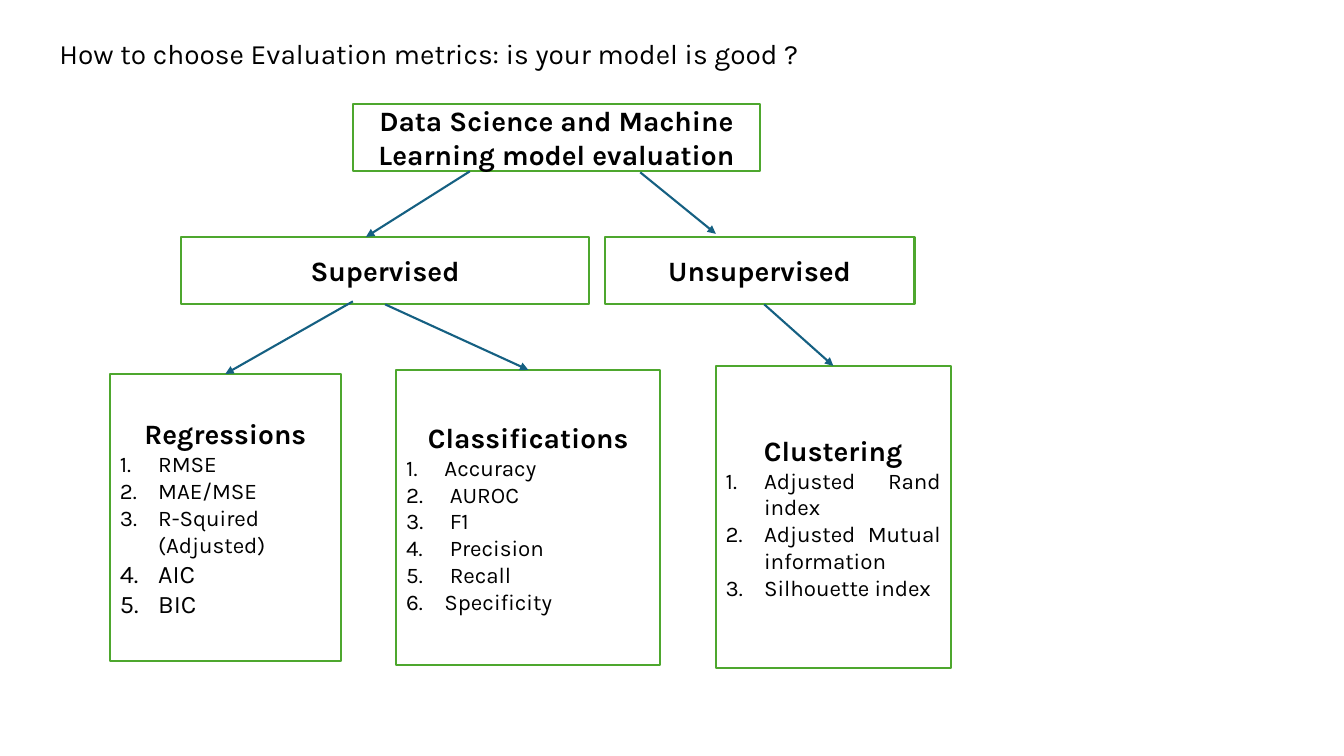
from pptx import Presentation, util as u
from pptx.dml.color import RGBColor
from pptx.enum import shapes, text
from pptx.oxml.ns import qn
from lxml import etree

PX = 9144
FONT = "Karla"
COLOURS = {"ink": "000000", "paper": "FFFFFF", "border": "4EA72E", "arrow": "156082"}
INDENT = 38
LINE_WIDTH = u.Pt(1.5)

TITLE = "How to choose Evaluation metrics: is your model is good ?"
BOXES = {
    "Supervised": ((180, 235, 404, 67), []),
    "Clustering": ((710, 363, 233, 300), [
        ("Adjusted Rand index", 16), ("Adjusted Mutual information", 16),
        ("Silhouette index", 16)]),
    "Classifications": ((393, 367, 262, 293), [
        ("Accuracy", 16), (" AUROC", 16), (" F1", 16), (" Precision", 16),
        (" Recall", 16), ("Specificity", 16)]),
    "Regressions": ((109, 371, 229, 285), [
        ("RMSE", 16), ("MAE/MSE", 16), ("R-Squired (Adjusted)", 16),
        ("AIC", 18), ("BIC", 18)]),
    "Data Science and Machine Learning model evaluation": ((350, 103, 404, 67), []),
    "Unsupervised": ((600, 235, 307, 67), []),
}
ARROWS = [
    ((350, 299), (224, 371), None, "Regressions"),
    ((382, 302), (524, 367), "Supervised", "Classifications"),
    ((758, 302), (827, 363), None, "Clustering"),
    ((635, 171), (710, 232), None, None),
    ((466, 170), (363, 235), None, None),
]


def colour(name):
    return RGBColor.from_string(COLOURS[name])


def px(*lengths):
    return [u.Emu(length * PX) for length in lengths]


def write(para, words, size, bold=False, **layout):
    for name, value in layout.items():
        setattr(para, name, value)
    span = para.add_run()
    span.text = words
    for name, value in {"name": FONT, "size": u.Pt(size), "bold": bold}.items():
        setattr(span.font, name, value)
    span.font.color.rgb = colour("ink")


def number(para):
    props = para._p.get_or_add_pPr()
    props.set("marL", str(INDENT * PX))
    props.set("indent", str(-INDENT * PX))
    etree.SubElement(props, qn("a:buFont"), typeface="+mj-lt")
    etree.SubElement(props, qn("a:buAutoNum"), type="arabicPeriod")


def add_title(page, area):
    frame = page.shapes.add_textbox(*px(*area)).text_frame
    frame.word_wrap = True
    frame.vertical_anchor = text.MSO_ANCHOR.MIDDLE
    write(frame.paragraphs[0], TITLE, 20, line_spacing=0.9)


def add_box(page, area, heading, items):
    box = page.shapes.add_shape(shapes.MSO_SHAPE.FLOWCHART_PROCESS, *px(*area))
    box.shadow.inherit = False
    box.fill.solid()
    box.fill.fore_color.rgb = colour("paper")
    box.line.color.rgb = colour("border")
    box.line.width = LINE_WIDTH
    frame = box.text_frame
    frame.word_wrap = True
    frame.vertical_anchor = text.MSO_ANCHOR.MIDDLE
    write(frame.paragraphs[0], heading, 20, True, alignment=text.PP_ALIGN.CENTER)
    for words, size in items:
        para = frame.add_paragraph()
        write(para, words, size, alignment=text.PP_ALIGN.JUSTIFY)
        number(para)
    return box


def add_arrow(page, start, end, source, target):
    arrow = page.shapes.add_connector(
        shapes.MSO_CONNECTOR.STRAIGHT, *px(*start, *end))
    arrow.line.color.rgb = colour("arrow")
    arrow.line.width = LINE_WIDTH
    etree.SubElement(arrow.line._get_or_add_ln(), qn("a:tailEnd"), type="triangle")
    etree.SubElement(arrow._element.spPr, qn("a:effectLst"))
    if source:
        arrow.begin_connect(source, 2)
    if target:
        arrow.end_connect(target, 0)


def add_metric_tree(page):
    boxes = {heading: add_box(page, area, heading, items)
             for heading, (area, items) in BOXES.items()}
    for start, end, source, target in ARROWS:
        add_arrow(page, start, end, boxes.get(source), boxes.get(target))


def main():
    deck = Presentation()
    deck.slide_width, deck.slide_height = px(1333, 750)
    page = deck.slides.add_slide(deck.slide_layouts[6])
    add_title(page, (49, 22, 1148, 65))
    add_metric_tree(page)
    deck.save("out.pptx")


if __name__ == "__main__":
    main()
